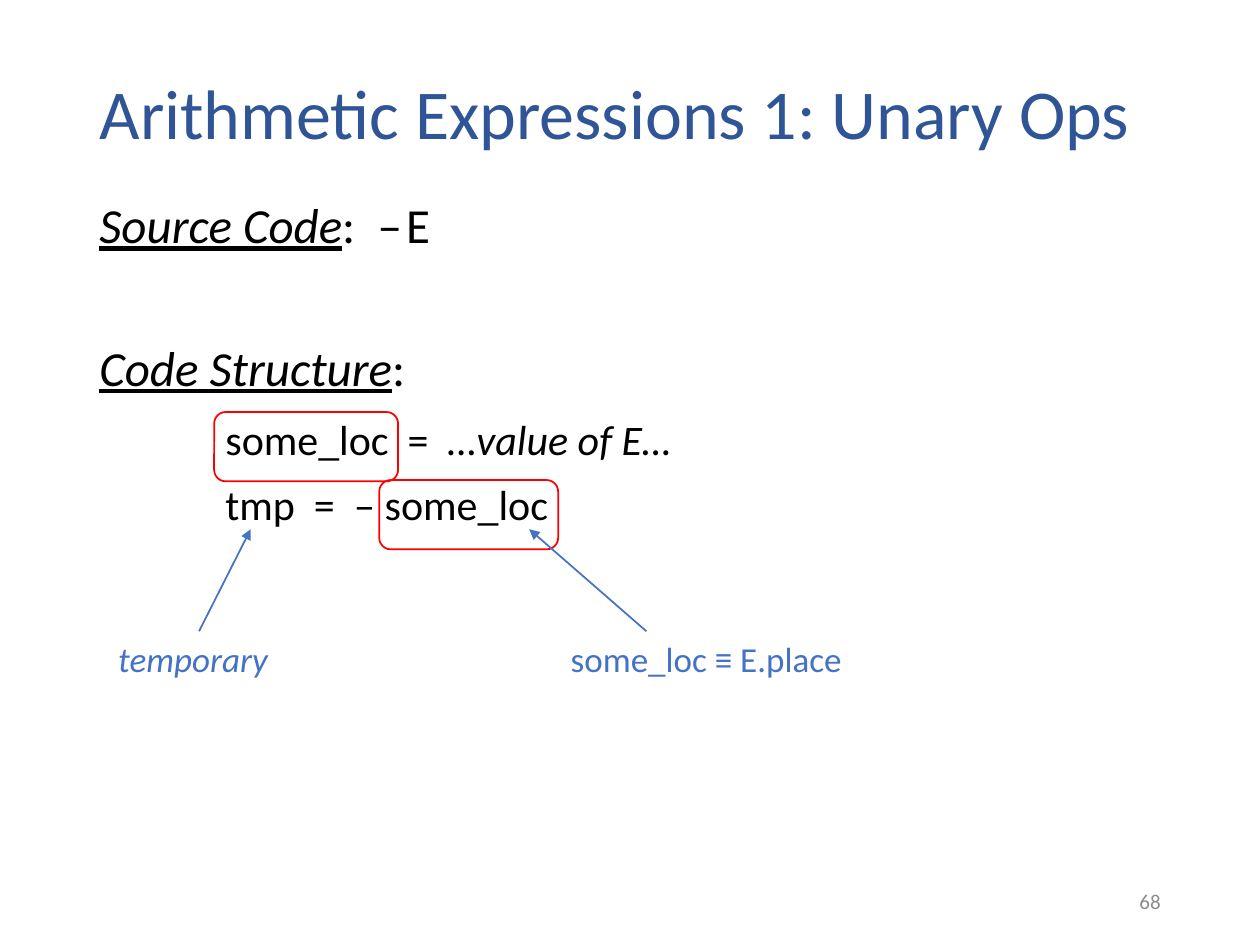
from lxml.etree import SubElement
from pptx import Presentation
from pptx.dml.color import RGBColor
from pptx.enum.shapes import MSO_CONNECTOR as CONN, MSO_SHAPE as SHAPE
from pptx.enum.text import MSO_ANCHOR as ANCHOR, PP_ALIGN as ALIGN
from pptx.oxml.ns import qn
from pptx.util import Inches, Pt

NAVY = RGBColor(0x2F, 0x55, 0x97)
BLUE = RGBColor(0x44, 0x72, 0xC4)
RED = RGBColor(0xFF, 0, 0)
BLACK = RGBColor(0, 0, 0)
GRAY = RGBColor(0x8C, 0x8C, 0x8C)
FONT = "Calibri"

TITLE = "Arithmetic Expressions 1: Unary Ops"
HEAD = {"italic": True, "underline": True}
ITALIC = {"italic": True}
# (space before, left indent, runs of (text, size, style))
BODY = [
    (0, 0, [("Source Code", 28, HEAD), (":  ‒", 28, {}), (" ", 10, {}), ("E", 28, {})]),
    (51, 0, [("Code Structure", 28, HEAD), (":", 28, {})]),
    (13, 1, [("some_loc  =  ", 24, {}), ("…value of E…", 24, ITALIC)]),
    (11, 1, [("tmp  =  ‒ some_loc", 24, {})]),
]
LABELS = [
    ("temporary", ITALIC, (0.84, 5.01, 1.4, 0.44)),
    ("some_loc ≡ E.place", {}, (4.43, 5.01, 2.39, 0.44)),
]
LOC_BOXES = [(1.7, 3.27, 1.46, 0.55), (3.01, 3.81, 1.42, 0.55)]
ARROWS = [(1.58, 5.01, 1.99, 4.2), (5.13, 5.01, 4.2, 4.2)]


def inches(values):
    return [Inches(v) for v in values]


def add_run(p, text, size, color, style={}):
    r = p.add_run()
    r.text = text
    r.font.name, r.font.size = FONT, Pt(size)
    r.font.color.rgb = color
    for name, value in style.items():
        setattr(r.font, name, value)


def add_text(slide, box, wrap=True):
    tf = slide.shapes.add_textbox(*inches(box)).text_frame
    tf.word_wrap = wrap
    return tf


def add_title(slide):
    sp = slide.shapes.title
    sp.left, sp.top, sp.width, sp.height = inches((0.69, 0.4, 8.62, 1.05))
    tf = sp.text_frame
    tf.vertical_anchor = ANCHOR.MIDDLE
    p = tf.paragraphs[0]
    p.alignment, p.line_spacing = ALIGN.LEFT, 0.9
    add_run(p, TITLE, 40, NAVY)


def add_body(slide):
    tf = add_text(slide, (0.69, 1.55, 8.62, 5.21))
    for i, (before, indent, runs) in enumerate(BODY):
        p = tf.add_paragraph() if i else tf.paragraphs[0]
        p.line_spacing, p.space_before = 0.9, Pt(before)
        p._p.get_or_add_pPr().set("marL", str(Inches(indent)))
        for text, size, style in runs:
            add_run(p, text, size, BLACK, style)


def add_loc_box(slide, box):
    sp = slide.shapes.add_shape(SHAPE.ROUNDED_RECTANGLE, *inches(box))
    sp.shadow.inherit = False
    sp.fill.background()
    sp.line.color.rgb, sp.line.width = RED, Pt(1)


def add_arrow(slide, ends):
    line = slide.shapes.add_connector(CONN.STRAIGHT, *inches(ends))
    line.line.color.rgb, line.line.width = BLUE, Pt(1)
    SubElement(line.line._get_or_add_ln(), qn("a:tailEnd"), type="triangle")
    SubElement(line._element.spPr, qn("a:effectLst"))


def main():
    prs = Presentation()
    prs.slide_width, prs.slide_height = Inches(10), Inches(7.5)
    slide = prs.slides.add_slide(prs.slide_layouts[5])
    add_title(slide)
    add_body(slide)
    number = add_text(slide, (7.06, 6.95, 2.25, 0.4))
    number.vertical_anchor = ANCHOR.MIDDLE
    number.paragraphs[0].alignment = ALIGN.RIGHT
    add_run(number.paragraphs[0], "68", 12, GRAY)
    for text, style, box in LABELS:
        add_run(add_text(slide, box, False).paragraphs[0], text, 20, BLUE, style)
    for box in LOC_BOXES:
        add_loc_box(slide, box)
    for ends in ARROWS:
        add_arrow(slide, ends)
    prs.save("out.pptx")


if __name__ == "__main__":
    main()
